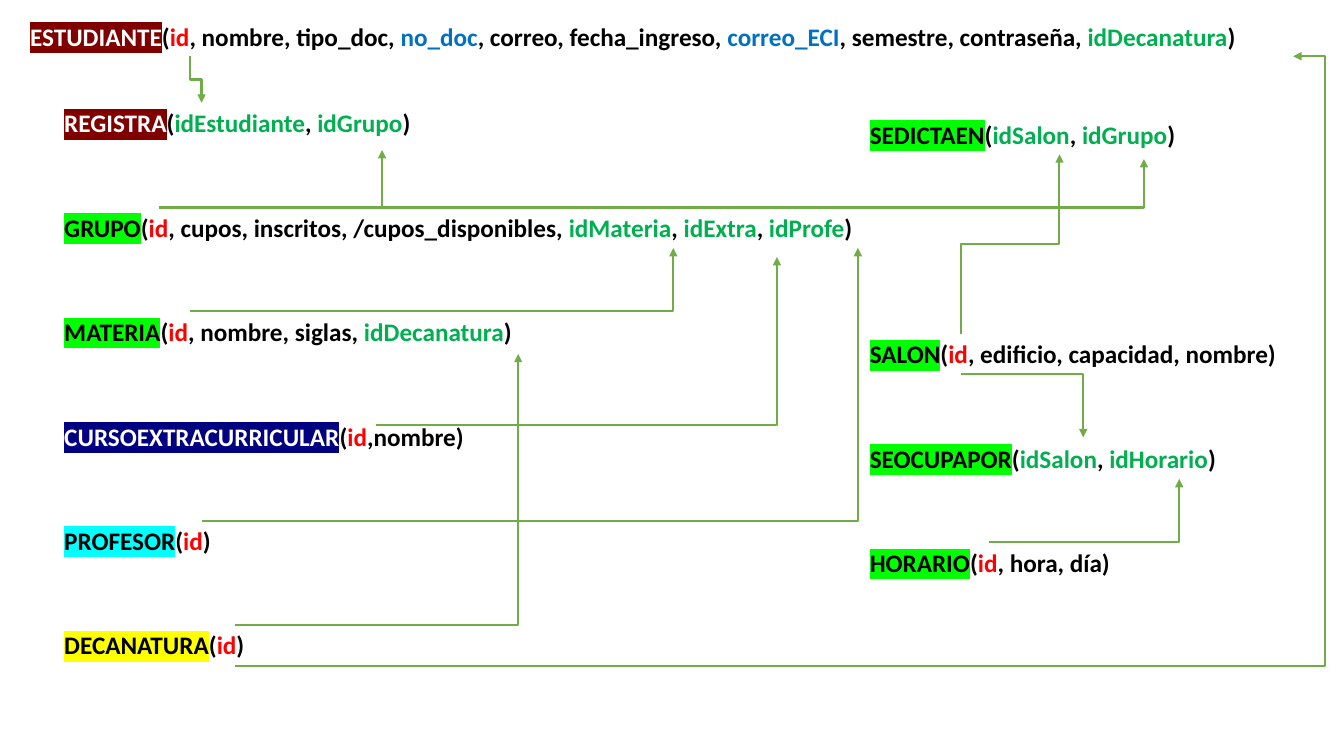
from dataclasses import dataclass

from lxml import etree
from pptx import Presentation
from pptx import util as u
from pptx.dml.color import RGBColor
from pptx.enum import shapes, text
from pptx.oxml import ns


@dataclass(frozen=True)
class Theme:
    font: str = "Calibri"
    size: float = 18
    line: float = 1.5
    black: str = "000000"
    white: str = "FFFFFF"
    primary: str = "FF0000"
    foreign: str = "00B050"
    unique: str = "0070C0"
    link: str = "70AD47"
    maroon: str = "800000"
    lime: str = "00FF00"
    navy: str = "000080"
    cyan: str = "00FFFF"
    yellow: str = "FFFF00"


T = Theme()
ROW_H = 1.03
PITCH = 2.63

HEADER = [
    (0, 33.87, "ESTUDIANTE", T.maroon,
     "(|id|, nombre, tipo_doc, |no_doc|, correo, fecha_ingreso, "
     "|correo_ECI|, semestre, contraseña, |idDecanatura|)"),
]
LEFT = [
    (0, 10.19, "REGISTRA", T.maroon, "(|idEstudiante|, |idGrupo|)"),
    (1, 21.89, "GRUPO", T.lime,
     "(|id|, cupos, inscritos, /cupos_disponibles, |idMateria|, |idExtra|, |idProfe|)"),
    (2, 12.65, "MATERIA", T.lime, "(|id|, nombre, siglas, |idDecanatura|)"),
    (3, 11.68, "CURSOEXTRACURRICULAR", T.navy, "(|id|,nombre)"),
    (4, 5.31, "PROFESOR", T.cyan, "(|id|)"),
    (5, 5.92, "DECANATURA", T.yellow, "(|id|)"),
]
ROOM_USE = [(0, 8.76, "SEDICTAEN", T.lime, "(|idSalon|, |idGrupo|)")]
ROOMS = [
    (0, 11.68, "SALON", T.lime, "(|id|, edificio, capacidad, nombre)"),
    (1, 10.08, "SEOCUPAPOR", T.lime, "(|idSalon|, |idHorario|)"),
    (2, 7.16, "HORARIO", T.lime, "(|id|, hora, día)"),
]

ACROSS = [
    (4.17, 5.21, 9.63, 3.78, 1),
    (24.92, 13.67, 29.72, 12.07, 1),
    (24.23, 9.42, 27.3, 11.02, 1),
    (5.92, 15.75, 13.06, 8.92, 1),
    (5.08, 13.13, 21.62, 6.25, 1),
    (4.78, 7.85, 16.97, 6.25, 1),
    (9.47, 10.72, 19.58, 6.48, 1),
    (4.01, 5.23, 28.83, 4.01, 1),
    (5.92, 16.79, 32.59, 1.42, 1.03),
]
UPRIGHT = [
    (24.23, 8.41, 26.7, 3.89),
    (4.78, 1.42, 5.08, 2.59),
]


def add_run(p, words, colour, highlight=None):
    r = p.add_run()
    r.text = words
    r.font.size = u.Pt(T.size)
    r.font.bold = True
    r.font.color.rgb = RGBColor.from_string(colour)
    if highlight:
        mark = etree.SubElement(r.font._element, ns.qn("a:highlight"))
        etree.SubElement(mark, ns.qn("a:srgbClr"), val=highlight)
    r.font.name = T.font


def key_colour(field):
    if field == "id":
        return T.primary
    return T.foreign if field.startswith("id") else T.unique


def add_relations(s, box, relations):
    left, top = box
    for row, width, name, highlight, fields in relations:
        sp = s.shapes.add_textbox(u.Cm(left), u.Cm(top + row * PITCH),
                                  u.Cm(width), u.Cm(ROW_H))
        tf = sp.text_frame
        tf.word_wrap = True
        tf.auto_size = text.MSO_AUTO_SIZE.SHAPE_TO_FIT_TEXT
        p = tf.paragraphs[0]
        dark = highlight in (T.maroon, T.navy)
        add_run(p, name, T.white if dark else T.black, highlight)
        for i, part in enumerate(fields.split("|")):
            add_run(p, part, key_colour(part) if i % 2 else T.black)


def add_elbow(s, x1, y1, x2, y2, bend):
    c = s.shapes.add_connector(shapes.MSO_CONNECTOR.ELBOW,
                               u.Cm(x1), u.Cm(y1), u.Cm(x2), u.Cm(y2))
    c.line.color.rgb = RGBColor.from_string(T.link)
    c.line.width = u.Pt(T.line)
    etree.SubElement(c.get_or_add_ln(), ns.qn("a:tailEnd"), type="triangle")
    props = c._element.spPr
    etree.SubElement(props, ns.qn("a:effectLst"))
    guides = props.find(ns.qn("a:prstGeom")).find(ns.qn("a:avLst"))
    etree.SubElement(guides, ns.qn("a:gd"), name="adj1",
                     fmla=f"val {round(bend * 100000)}")
    return c


def add_links(s, box):
    left, top = box
    for x1, y1, x2, y2, bend in ACROSS:
        add_elbow(s, left + x1, top + y1, left + x2, top + y2, bend)
    for x1, y1, x2, y2 in UPRIGHT:
        cx, cy = left + (x1 + x2) / 2, top + (y1 + y2) / 2
        dx, dy = (x2 - x1) / 2, (y2 - y1) / 2
        c = add_elbow(s, cx + dy, cy - dx, cx - dy, cy + dx, 0.5)
        c._element.spPr.find(ns.qn("a:xfrm")).set("rot", str(270 * 60000))


prs = Presentation()
prs.slide_width, prs.slide_height = u.Cm(33.87), u.Cm(19.05)
s = prs.slides.add_slide(prs.slide_layouts[6])
add_relations(s, (0.51, 0.41), HEADER)
add_relations(s, (1.37, 2.59), LEFT)
add_relations(s, (21.67, 2.87), ROOM_USE)
add_relations(s, (21.67, 8.41), ROOMS)
add_links(s, (0, 0))
prs.save("out.pptx")
